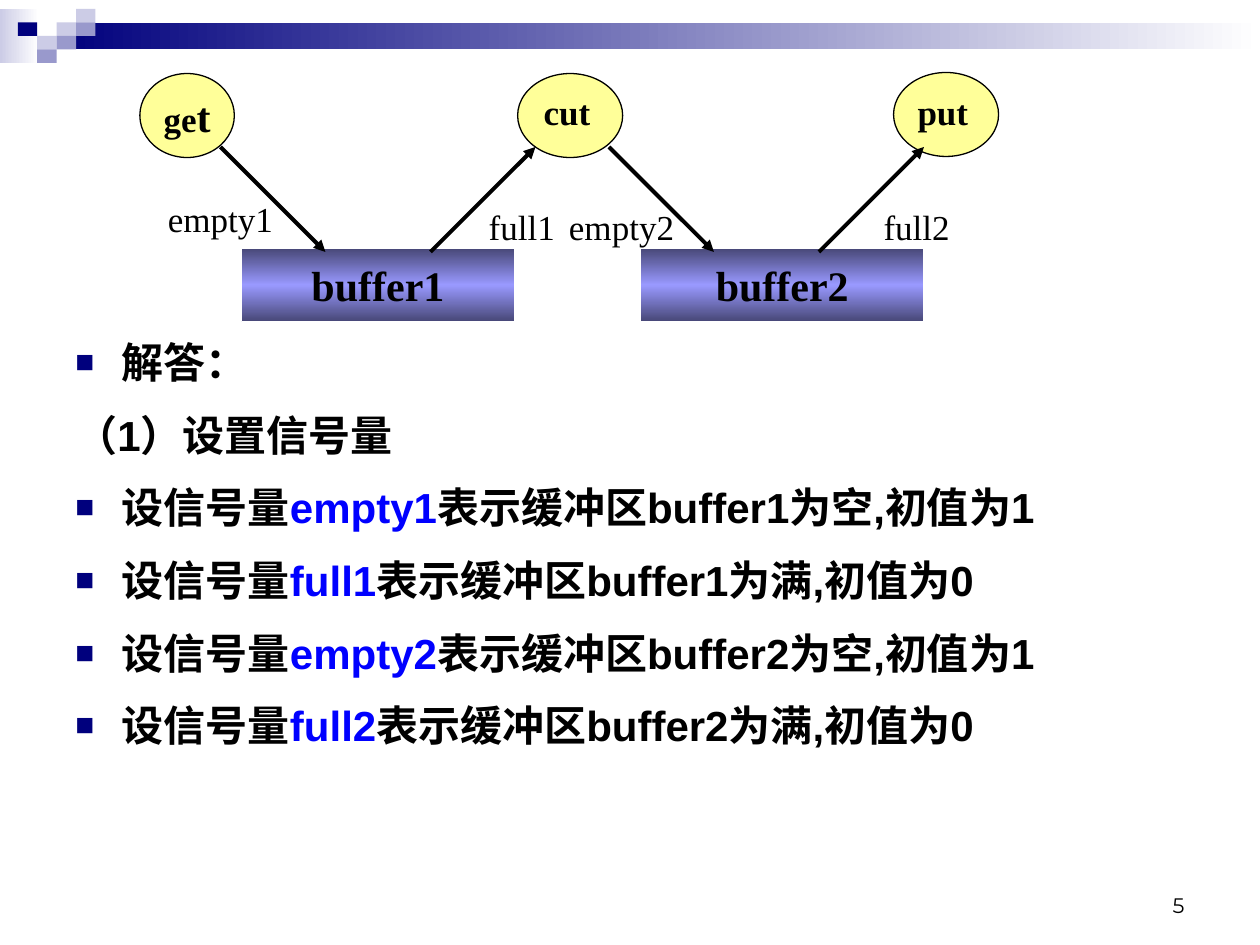
import copy
import dataclasses

import lxml.etree
import pptx
import pptx.dml.color
import pptx.enum.shapes
import pptx.enum.text
import pptx.oxml.ns
import pptx.util

SHAPE = pptx.enum.shapes.MSO_SHAPE
ALIGN = pptx.enum.text.PP_ALIGN
ANCHOR = pptx.enum.text.MSO_ANCHOR
qn = pptx.oxml.ns.qn


@dataclasses.dataclass(frozen=True)
class Theme:
    navy: str = "00007D"
    mid: str = "9999CC"
    pale: str = "CCCCE6"
    white: str = "FFFFFF"
    black: str = "000000"
    accent: str = "0000FF"
    process: str = "FFFF99"
    buffer_edge: str = "474776"
    buffer_glow: str = "9999FF"
    serif: str = "Times New Roman"
    sans: str = "Arial"
    number: str = "Montserrat"
    large: float = 24
    label: float = 20
    body: float = 24
    small: float = 12
    outline: float = 0.75
    arrow: float = 2.25


T = Theme()


@dataclasses.dataclass(frozen=True)
class Box:
    x: float
    y: float
    w: float
    h: float
    cols: float
    rows: float

    def at(self, col, row, w, h):
        cw, rh = self.w / self.cols, self.h / self.rows
        return self.x + col * cw, self.y + row * rh, w * cw, h * rh

    def emu(self, *cells):
        return [pptx.util.Inches(v) for v in self.at(*cells)]

    def sub(self, cells, cols, rows):
        return Box(*self.at(*cells), cols, rows)


def rgb(color):
    return pptx.dml.color.RGBColor.from_string(color)


def set_attrs(target, values):
    for name, value in values.items():
        setattr(target, name, value)


def add_run(p, text, size, font, color=T.black, bold=True):
    r = p.add_run()
    r.text = text
    set_attrs(r.font, {"size": pptx.util.Pt(size), "name": font, "bold": bold})
    r.font.color.rgb = rgb(color)


def add_text(slide, box, cells, text, size, font, bold=False, **frame):
    tf = slide.shapes.add_textbox(*box.emu(*cells)).text_frame
    align = frame.pop("align", ALIGN.CENTER)
    set_attrs(tf, {"word_wrap": False, **frame})
    p = tf.paragraphs[0]
    p.alignment = align
    add_run(p, text, size, font, bold=bold)


def add_block(slide, box, cells, colors, kind=SHAPE.RECTANGLE, angle=0, line=None):
    s = slide.shapes.add_shape(kind, *box.emu(*cells))
    s.shadow.inherit = False
    if len(colors) == 1:
        s.fill.solid()
        s.fill.fore_color.rgb = rgb(colors[0])
    else:
        s.fill.gradient()
        s.fill.gradient_angle = angle
        stops = s._element.spPr.find(".//" + qn("a:gsLst"))
        for _ in colors[2:]:
            stops.append(copy.deepcopy(stops[0]))
        for i, (stop, color) in enumerate(zip(s.fill.gradient_stops, colors)):
            stop.position = i / (len(colors) - 1)
            stop.color.rgb = rgb(color)
    if line:
        s.line.color.rgb = rgb(line)
        s.line.width = pptx.util.Pt(T.outline)
    else:
        s.line.fill.background()
    return s


def add_caption(s, runs):
    tf = s.text_frame
    set_attrs(tf, {"word_wrap": False, "vertical_anchor": ANCHOR.MIDDLE})
    p = tf.paragraphs[0]
    p.alignment = ALIGN.CENTER
    for text, size in runs:
        add_run(p, text, size, T.serif)


def add_arrow(slide, box, start, end):
    x1, y1 = box.emu(*start, 0, 0)[:2]
    x2, y2 = box.emu(*end, 0, 0)[:2]
    s = slide.shapes.add_connector(pptx.enum.shapes.MSO_CONNECTOR.STRAIGHT, x1, y1, x2, y2)
    s.line.color.rgb = rgb(T.black)
    s.line.width = pptx.util.Pt(T.arrow)
    spPr = s._element.spPr
    lxml.etree.SubElement(spPr.find(qn("a:ln")), qn("a:tailEnd"), type="triangle")
    lxml.etree.SubElement(spPr, qn("a:effectLst"))


def add_bullet(p):
    pPr = p._p.get_or_add_pPr()
    color = lxml.etree.SubElement(pPr, qn("a:buClr"))
    lxml.etree.SubElement(color, qn("a:srgbClr"), val=T.navy)
    lxml.etree.SubElement(pPr, qn("a:buSzPct"), val="75000")
    lxml.etree.SubElement(pPr, qn("a:buFont"), typeface=T.sans)
    lxml.etree.SubElement(pPr, qn("a:buChar"), char="■")


def build_header(slide, box):
    add_block(slide, box, (0, 0, 3.7, 4), [T.pale, T.white])
    add_block(slide, box, (5.4, 1.02, 114.6, 1.98), [T.navy, T.white])
    tiles = box.sub((1.7, 0, 7.4, 4), 4, 4)
    for col, row, color in [(2, 1, T.pale), (3, 0, T.pale), (3, 1, T.mid), (1, 2, T.pale),
                            (0, 1, T.navy), (2, 2, T.mid), (1, 3, T.mid)]:
        add_block(slide, tiles, (col, row, 1, 1), [color])


def build_diagram(slide, box):
    for text, col, w in [("buffer1", 10, 26), ("buffer2", 48, 27)]:
        s = add_block(slide, box, (col, 16.64, w, 7),
                      [T.buffer_edge, T.buffer_glow, T.buffer_edge], angle=90, line=T.white)
        add_caption(s, [(text, T.large)])
    circles = [add_block(slide, box, cells, [T.process], SHAPE.OVAL, line=T.black)
               for cells in [(0.32, 0, 9, 8), (36.3, 0, 10, 8), (72.1, -0.1, 10, 8)]]
    add_caption(circles[0], [("ge", T.label), ("t", T.large)])
    for text, col, w in [("cut", 36, 10), ("put", 72, 9.6)]:
        add_text(slide, box, (col, 1, w, 5.28), text, T.label, T.serif, bold=True)
    for col, start, end in [(28, 17, 7), (45, 7, 17), (8, 7, 17), (65, 17, 7)]:
        add_arrow(slide, box, (col, start), (col + 10, end))
    for text, col, row, w in [("empty1", 1.5, 11.2, 13), ("empty2", 39.7, 12, 13),
                              ("full1", 31.7, 12, 10), ("full2", 69.3, 12, 10)]:
        add_text(slide, box, (col, row, w, 5.28), text, T.label, T.serif)


def build_answer(slide, box):
    lines = [(True, [("解答：", T.black)]), (False, [("（1）设置信号量", T.black)])]
    for n in (1, 2):
        for name, state, value in [("empty", "空", 1), ("full", "满", 0)]:
            lines.append((True, [("设信号量", T.black), (f"{name}{n}", T.accent),
                                 (f"表示缓冲区buffer{n}为{state},初值为{value}", T.black)]))
    tf = slide.shapes.add_textbox(*box.emu(0, 0, box.cols, box.rows)).text_frame
    tf.word_wrap = True
    indent = pptx.util.Inches(0.37)
    gap = pptx.util.Pt(4.9)
    for i, (bulleted, runs) in enumerate(lines):
        p = tf.add_paragraph() if i else tf.paragraphs[0]
        set_attrs(p, {"line_spacing": 1.1, "space_before": gap if i else 0, "space_after": gap})
        pPr = p._p.get_or_add_pPr()
        pPr.set("marL", str(indent))
        pPr.set("indent", str(-indent))
        if bulleted:
            add_bullet(p)
        for text, color in runs:
            add_run(p, text, T.body, T.sans, color)


def build_number(slide, box):
    add_text(slide, box, (0, 0, box.cols, box.rows), "5", T.small, T.number,
             align=ALIGN.RIGHT, word_wrap=True, vertical_anchor=ANCHOR.BOTTOM)


def main():
    prs = pptx.Presentation()
    prs.slide_width = pptx.util.Inches(10)
    prs.slide_height = pptx.util.Inches(7.5)
    slide = prs.slides.add_slide(prs.slide_layouts[6])
    page = Box(0, 0, 10, 7.5, 120, 90)
    build_header(slide, page.sub((0, 0.84, 120, 5.16), 120, 4))
    build_number(slide, page.sub((86, 82, 28, 6), 1, 1))
    build_answer(slide, page.sub((6, 31, 108, 52), 1, 1))
    build_diagram(slide, page.sub((13, 7, 82, 24), 82, 24))
    prs.save("out.pptx")


if __name__ == "__main__":
    main()
